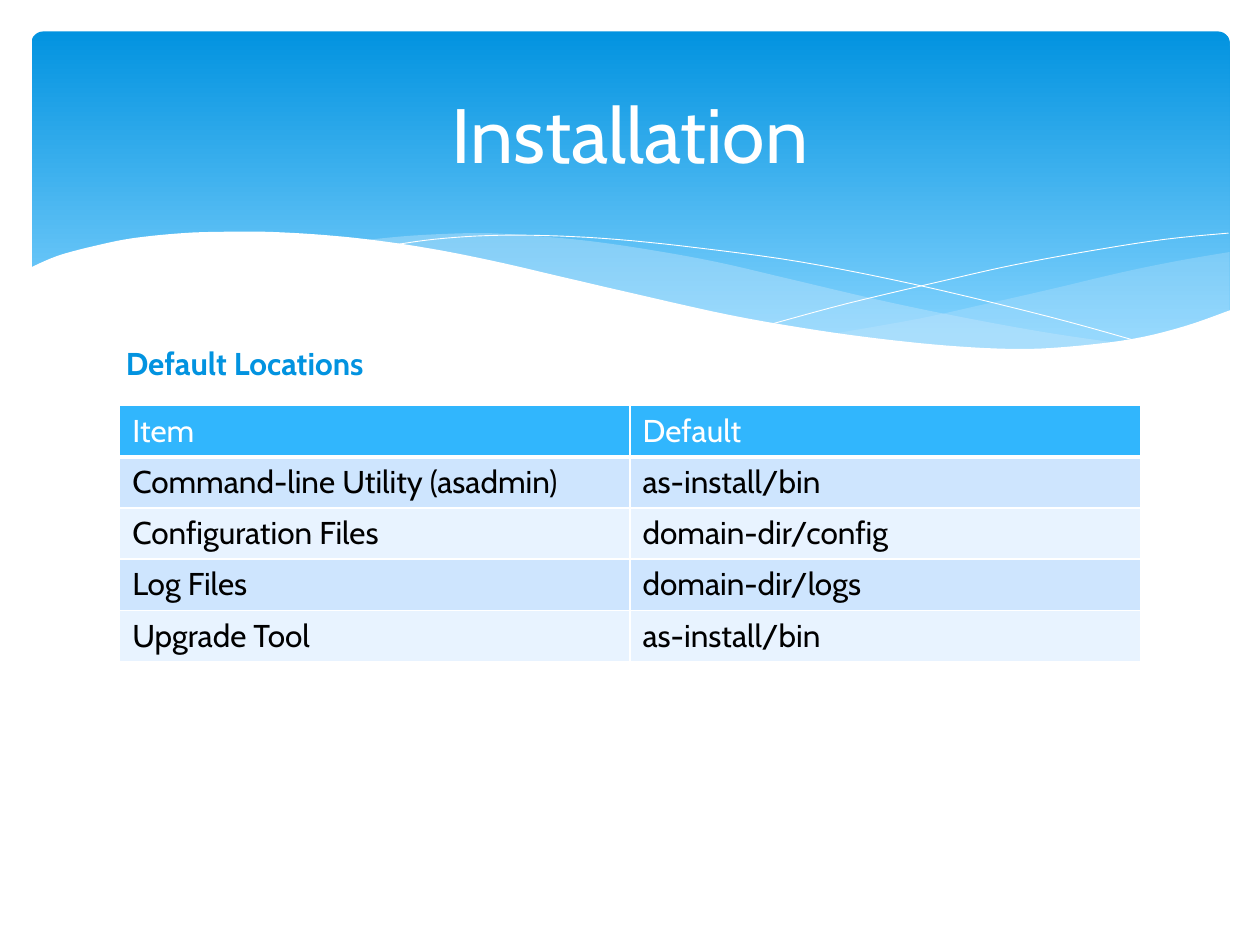
from dataclasses import dataclass
from itertools import pairwise

from lxml import etree
from pptx import Presentation, util as u
from pptx.dml.color import RGBColor
from pptx.enum import shapes, text
from pptx.oxml.ns import qn


@dataclass(frozen=True)
class Theme:
    font: str = "Cabin"
    big: int = 44
    body: int = 18
    white: str = "FFFFFF"
    black: str = "000000"
    blue: str = "0293E0"
    sky: str = "83D3FE"
    mist: str = "C6E7FC"
    head: str = "31B6FD"
    bands: tuple = ("CEE5FE", "E8F3FF")


# Each wave is a list of curves; a curve is a list of points in inches.
RIGHT = [
    [(9.76, 2), (9.35, 2.07), (8.91, 2.16), (8.32, 2.3), (7.79, 2.42),
     (7.29, 2.53), (6.61, 2.65)],
    [(6.61, 2.65), (7.05, 2.71), (7.57, 2.76), (8.03, 2.78), (8.54, 2.76),
     (8.97, 2.7), (9.35, 2.62), (9.76, 2.47)],
]
MIDDLE = [
    [(8.93, 2.73), (8.37, 2.65), (7.75, 2.54), (7.06, 2.4), (6.29, 2.22),
     (5.69, 2.08), (5.14, 1.98), (4.65, 1.91), (4.2, 1.87), (3.8, 1.85),
     (3.28, 1.87), (2.86, 1.91)],
    [(2.86, 1.91), (3.42, 1.99), (4.04, 2.11), (4.49, 2.22), (5.3, 2.4),
     (6.01, 2.55), (6.65, 2.66), (7.22, 2.74), (7.73, 2.77), (8.18, 2.78),
     (8.57, 2.77), (8.93, 2.73)],
]
FALL = [[(3.09, 1.95), (3.44, 1.9), (3.87, 1.87), (4.33, 1.87), (4.89, 1.9),
         (5.56, 1.97), (6.36, 2.08), (7.27, 2.26), (8.31, 2.51), (9.07, 2.72)]]
RISE = [[(6.13, 2.57), (6.72, 2.41), (7.48, 2.23), (8.06, 2.1), (8.66, 1.99),
         (9.24, 1.9), (9.75, 1.85)]]
FRONT = [
    [(9.77, 2.46), (9.4, 2.59), (8.99, 2.69), (8.5, 2.75), (8.09, 2.77),
     (7.61, 2.75), (7.08, 2.7), (6.48, 2.62), (5.79, 2.5), (5.03, 2.33),
     (4.47, 2.2), (3.91, 2.07), (3.4, 1.97), (2.92, 1.9), (2.5, 1.86),
     (2.11, 1.84), (1.77, 1.84), (1.46, 1.85), (1.06, 1.89), (0.76, 1.95),
     (0.46, 2.03), (0.23, 2.13)],
    [(0.23, 3.29), (9.77, 3.29)],
]
ROWS = [
    ("Item", "Default"),
    ("Command-line Utility (asadmin)", "as-install/bin"),
    ("Configuration Files", "domain-dir/config"),
    ("Log Files", "domain-dir/logs"),
    ("Upgrade Tool", "as-install/bin"),
]


def rgb(code):
    return RGBColor.from_string(code)


def smooth(pts, steps=5):
    """Return points on a Catmull-Rom curve through pts."""
    ends = [pts[0], *pts, pts[-1]]
    out = [pts[0]]
    for i in range(len(pts) - 1):
        quad = ends[i:i + 4]
        for n in range(1, steps + 1):
            t = n / steps
            out.append(tuple(
                (2 * b + (c - a) * t + (2 * a - 5 * b + 4 * c - d) * t ** 2
                 + (3 * b - a - 3 * c + d) * t ** 3) / 2
                for a, b, c, d in zip(*quad)))
    return out


def write(frame, words, size, color, font, bold=False, align=None):
    para = frame.paragraphs[0]
    para.alignment = align
    run = para.add_run()
    run.text = words
    run.font.name = font
    run.font.size = u.Pt(size)
    run.font.bold = bold
    run.font.color.rgb = rgb(color)


def edge(cell, color, widths):
    """Draw the cell's borders; widths maps L, R, T and B to points."""
    props = cell._tc.get_or_add_tcPr()
    for side, width in widths.items():
        line = etree.SubElement(props, qn(f"a:ln{side}"), w=str(u.Pt(width)))
        fill = etree.SubElement(line, qn("a:solidFill"))
        etree.SubElement(fill, qn("a:srgbClr"), val=color)


class Deck:
    def __init__(self, theme):
        self.theme = theme
        self.prs = Presentation()
        self.prs.slide_width = u.Inches(10)
        self.prs.slide_height = u.Inches(7.5)
        self.slide = self.prs.slides.add_slide(self.prs.slide_layouts[5])

    def banner(self, *box):
        shape = self.slide.shapes.add_shape(
            shapes.MSO_SHAPE.ROUNDED_RECTANGLE, *map(u.Inches, box))
        shape.adjustments[0] = 0.034
        shape.shadow.inherit = False
        shape.line.fill.background()
        shape.fill.gradient()
        shape.fill.gradient_angle = 270
        first, last = shape.fill.gradient_stops
        first.position, last.position = 0, 0.9
        first.color.rgb = rgb(self.theme.blue)
        last.color.rgb = rgb(self.theme.sky)

    def wave(self, curves, fill=None, alpha=100):
        """Draw a filled wave, or an open white line when fill is None."""
        pts = [(u.Inches(x), u.Inches(y))
               for curve in curves for x, y in smooth(curve)]
        pen = self.slide.shapes.build_freeform(*pts[0])
        pen.add_line_segments(
            [b for a, b in pairwise(pts) if a != b], close=fill is not None)
        shape = pen.convert_to_shape()
        shape.shadow.inherit = False
        if fill is None:
            shape.fill.background()
            shape.line.color.rgb = rgb(self.theme.white)
            shape.line.width = u.Pt(0.5)
            return
        shape.line.fill.background()
        shape.fill.solid()
        shape.fill.fore_color.rgb = rgb(fill)
        if alpha < 100:
            tint = shape._element.spPr.find(
                f"{qn('a:solidFill')}/{qn('a:srgbClr')}")
            etree.SubElement(tint, qn("a:alpha"), val=str(alpha * 1000))

    def title(self, words, *box):
        shape = self.slide.shapes.title
        shape.left, shape.top, shape.width, shape.height = map(u.Inches, box)
        shape.text_frame.vertical_anchor = text.MSO_ANCHOR.MIDDLE
        write(shape.text_frame, words, self.theme.big, self.theme.white,
              self.theme.font, align=text.PP_ALIGN.CENTER)
        self.slide.shapes._spTree.append(shape._element)  # bring to front

    def label(self, words, *box):
        frame = self.slide.shapes.add_textbox(*map(u.Inches, box)).text_frame
        frame.word_wrap = False
        frame.auto_size = text.MSO_AUTO_SIZE.SHAPE_TO_FIT_TEXT
        write(frame, words, self.theme.body, self.theme.blue,
              self.theme.font, bold=True)

    def table(self, rows, *box):
        look = self.theme
        grid = self.slide.shapes.add_table(
            len(rows), len(rows[0]), *map(u.Inches, box)).table
        for r, row in enumerate(rows):
            top = r == 0
            for c, words in enumerate(row):
                cell = grid.cell(r, c)
                edge(cell, look.white, dict(L=1, R=1, T=1, B=3 if top else 1))
                cell.fill.solid()
                cell.fill.fore_color.rgb = rgb(
                    look.head if top else look.bands[(r - 1) % 2])
                write(cell.text_frame, words, look.body,
                      look.white if top else look.black, look.font)


def main():
    look = Theme()
    deck = Deck(look)
    deck.banner(0.25, 0.25, 9.51, 2.7)
    deck.wave(RIGHT, look.mist, 29)
    deck.wave(MIDDLE, look.mist, 40)
    deck.wave(FALL)
    deck.wave(RISE)
    deck.wave(FRONT, look.white)
    deck.title("Installation", 0.5, 0.37, 9, 1.37)
    deck.table(ROWS, 0.95, 3.22, 8.1, 2.03)
    deck.label("Default Locations", 0.9, 2.68, 2.1, 0.4)
    deck.prs.save("out.pptx")


if __name__ == "__main__":
    main()
